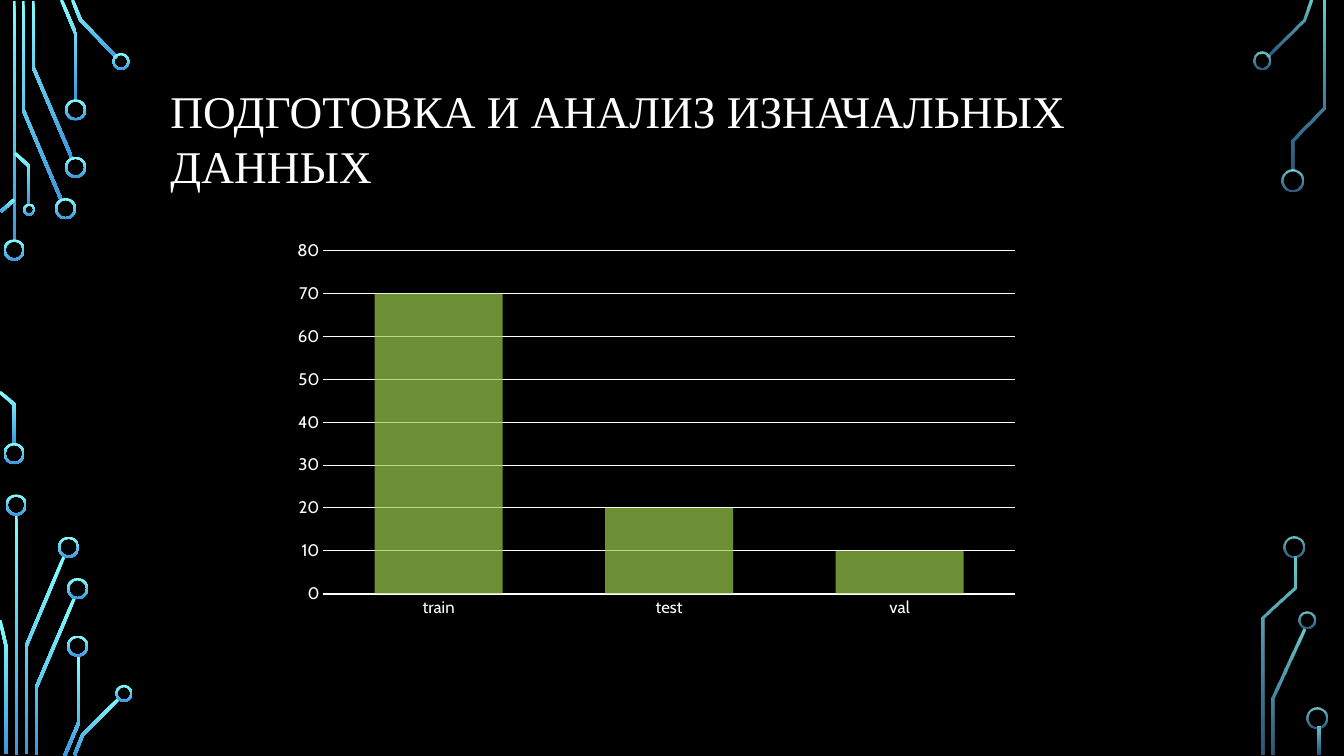
from math import hypot

from pptx import Presentation
from pptx.chart.data import CategoryChartData
from pptx.dml.color import RGBColor
from pptx.enum.chart import XL_CHART_TYPE as ChartType, XL_TICK_MARK as TickMark
from pptx.enum.shapes import MSO_SHAPE as Preset
from pptx.enum.text import MSO_ANCHOR as Anchor, MSO_AUTO_SIZE as AutoSize, PP_ALIGN as Align
from pptx.oxml import parse_xml
from pptx.oxml.ns import nsdecls
from pptx.util import Inches, Pt

BLACK = RGBColor(0x00, 0x00, 0x00)
WHITE = RGBColor(0xFF, 0xFF, 0xFF)
CYAN = RGBColor(0x82, 0xFF, 0xFF)
BLUE = RGBColor(0x3D, 0x97, 0xDE)
GREEN = RGBColor(0x9A, 0xCD, 0x4C)

TRACE_WIDTH = 0.03
RING_THICKNESS = 0.02
OPAQUE = (100, 100)
FADED = (80, 60)

LEFT_TRACES = [
    [(0.14, 0.01), (0.14, 2.4)],
    [(0.23, 0.01), (0.23, 1.09), (0.61, 1.99)],
    [(0.33, 0.01), (0.33, 0.67), (0.71, 1.56)],
    [(0.61, 0), (0.75, 0.33), (0.75, 1)],
    [(0.72, 0), (0.8, 0.2), (1.16, 0.57)],
    [(0.01, 2.1), (0.14, 1.98)],
    [(0.15, 1.52), (0.29, 1.65), (0.29, 2.03)],
    [(0, 3.89), (0.14, 4.01), (0.14, 4.41)],
    [(0.16, 5.1), (0.16, 7.49)],
    [(0.26, 7.48), (0.26, 6.41), (0.64, 5.51)],
    [(0, 6.15), (0.06, 6.41), (0.06, 7.48)],
    [(0.36, 7.49), (0.36, 6.82), (0.74, 5.93)],
    [(0.64, 7.5), (0.78, 7.17), (0.78, 6.5)],
    [(0.74, 7.49), (0.82, 7.29), (1.18, 6.93)],
]
RIGHT_TRACES = [
    [(12.57, 0.56), (12.93, 0.2), (13, 0)],
    [(12.82, 1.69), (12.82, 1.39), (13.13, 1.07), (13.13, 0.01)],
    [(12.63, 7.49), (12.63, 6.93), (12.93, 6.24)],
    [(12.53, 7.49), (12.53, 6.13), (12.84, 5.83), (12.84, 5.52)],
    [(13.08, 7.21), (13.08, 7.49)],
]
LEFT_RINGS = {
    0.21: [(0.14, 2.48), (0.14, 4.5), (0.65, 2.07), (0.75, 1.66), (0.75, 1.09),
           (0.16, 5.01), (0.68, 5.43), (0.77, 5.84), (0.77, 6.41)],
    0.17: [(1.2, 0.61), (1.23, 6.88)],
    0.12: [(0.29, 2.08)],
}
RIGHT_RINGS = {
    0.21: [(12.82, 1.79), (12.83, 5.43), (13.06, 7.12)],
    0.17: [(12.52, 0.6), (12.96, 6.15)],
}


def apply_format(target, values):
    for name, value in values.items():
        setattr(target, name, value)


def set_alpha(color_element, percent):
    color_element.append(parse_xml(f'<a:alpha {nsdecls("a")} val="{percent * 1000}"/>'))


def style_circuit(shape, opacity):
    shape.shadow.inherit = False
    shape.line.fill.background()
    shape.fill.gradient()
    shape.fill.gradient_angle = 270
    for stop, color in zip(shape.fill.gradient_stops, (CYAN, BLUE)):
        stop.color.rgb = color
    if opacity != OPAQUE:
        for element, percent in zip(shape.element.xpath(".//a:gs/a:srgbClr"), opacity):
            set_alpha(element, percent)


def unit_normal(start, end):
    run, rise = end[0] - start[0], end[1] - start[1]
    length = hypot(run, rise)
    return -rise / length, run / length


def ribbon_outline(points):
    normals = [unit_normal(*pair) for pair in zip(points, points[1:])]
    one_side, other_side = [], []
    for (x, y), before, after in zip(points, normals[:1] + normals, normals + normals[-1:]):
        scale = TRACE_WIDTH / 2 / (1 + before[0] * after[0] + before[1] * after[1])
        shift_x, shift_y = (before[0] + after[0]) * scale, (before[1] + after[1]) * scale
        one_side.append((Inches(x + shift_x), Inches(y + shift_y)))
        other_side.append((Inches(x - shift_x), Inches(y - shift_y)))
    return one_side + other_side[::-1]


def add_trace(slide, points, opacity):
    outline = ribbon_outline(points)
    builder = slide.shapes.build_freeform(*outline[0])
    builder.add_line_segments(outline[1:], close=True)
    style_circuit(builder.convert_to_shape(), opacity)


def add_ring(slide, center, diameter, opacity):
    left, top = (Inches(value - diameter / 2) for value in center)
    ring = slide.shapes.add_shape(Preset.DONUT, left, top, Inches(diameter), Inches(diameter))
    ring.adjustments[0] = RING_THICKNESS / diameter
    style_circuit(ring, opacity)


def add_circuit(slide, traces, rings, opacity):
    for points in traces:
        add_trace(slide, points, opacity)
    for diameter, centers in rings.items():
        for center in centers:
            add_ring(slide, center, diameter, opacity)


def set_title(slide, text):
    title = slide.shapes.title
    apply_format(title, {"left": Inches(1.59), "top": Inches(0.81),
                         "width": Inches(10.83), "height": Inches(1.62)})
    frame = title.text_frame
    frame.text = text
    apply_format(frame, {"word_wrap": True, "auto_size": AutoSize.NONE,
                         "vertical_anchor": Anchor.MIDDLE, "margin_bottom": Inches(0.55)})
    paragraph = frame.paragraphs[0]
    apply_format(paragraph, {"alignment": Align.LEFT, "line_spacing": 1.0})
    font = paragraph.runs[0].font
    apply_format(font, {"name": "Times New Roman", "size": Pt(32.4)})
    font.color.rgb = WHITE


def style_line(line, width):
    line.color.rgb = WHITE
    line.width = Pt(width)


def place_plot(chart, box):
    sizes = "".join(f'<c:{name} val="{value}"/>' for name, value in zip("xywh", box))
    layout = parse_xml(
        f'<c:layout {nsdecls("c")}><c:manualLayout><c:layoutTarget val="inner"/>'
        f'<c:xMode val="edge"/><c:yMode val="edge"/>{sizes}</c:manualLayout></c:layout>')
    plot_area = chart.element.xpath(".//c:plotArea")[0]
    for previous in plot_area.xpath("./c:layout"):
        plot_area.remove(previous)
    plot_area.insert(0, layout)


def add_split_chart(slide):
    data = CategoryChartData()
    data.categories = ["train", "test", "val"]
    data.add_series("Series 1", [70, 20, 10])
    chart = slide.shapes.add_chart(ChartType.COLUMN_CLUSTERED, Inches(2.79), Inches(2.2),
                                   Inches(7.47), Inches(3.99), data).chart
    apply_format(chart, {"has_title": False, "has_legend": False})
    apply_format(chart.font, {"name": "Cabin", "size": Pt(12)})
    chart.font.color.rgb = WHITE
    plot = chart.plots[0]
    apply_format(plot, {"gap_width": 80, "overlap": 25, "vary_by_categories": False})
    fill = plot.series[0].format.fill
    fill.solid()
    fill.fore_color.rgb = GREEN
    set_alpha(chart.element.xpath(".//c:ser/c:spPr/a:solidFill/a:srgbClr")[0], 70)
    for axis in (chart.category_axis, chart.value_axis):
        apply_format(axis, {"major_tick_mark": TickMark.NONE, "minor_tick_mark": TickMark.NONE})
    style_line(chart.category_axis.format.line, 1.25)
    value_axis = chart.value_axis
    apply_format(value_axis, {"minimum_scale": 0, "maximum_scale": 80, "major_unit": 10})
    value_axis.format.line.fill.background()
    style_line(value_axis.major_gridlines.format.line, 0.75)
    place_plot(chart, (0.056, 0.072, 0.918, 0.853))


def main():
    presentation = Presentation()
    apply_format(presentation, {"slide_width": Inches(13.33), "slide_height": Inches(7.5)})
    slide = presentation.slides.add_slide(presentation.slide_layouts[5])
    background = slide.background.fill
    background.solid()
    background.fore_color.rgb = BLACK
    add_circuit(slide, LEFT_TRACES, LEFT_RINGS, OPAQUE)
    add_circuit(slide, RIGHT_TRACES, RIGHT_RINGS, FADED)
    set_title(slide, "ПОДГОТОВКА И АНАЛИЗ ИЗНАЧАЛЬНЫХ ДАННЫХ")
    add_split_chart(slide)
    presentation.save("out.pptx")


if __name__ == "__main__":
    main()
